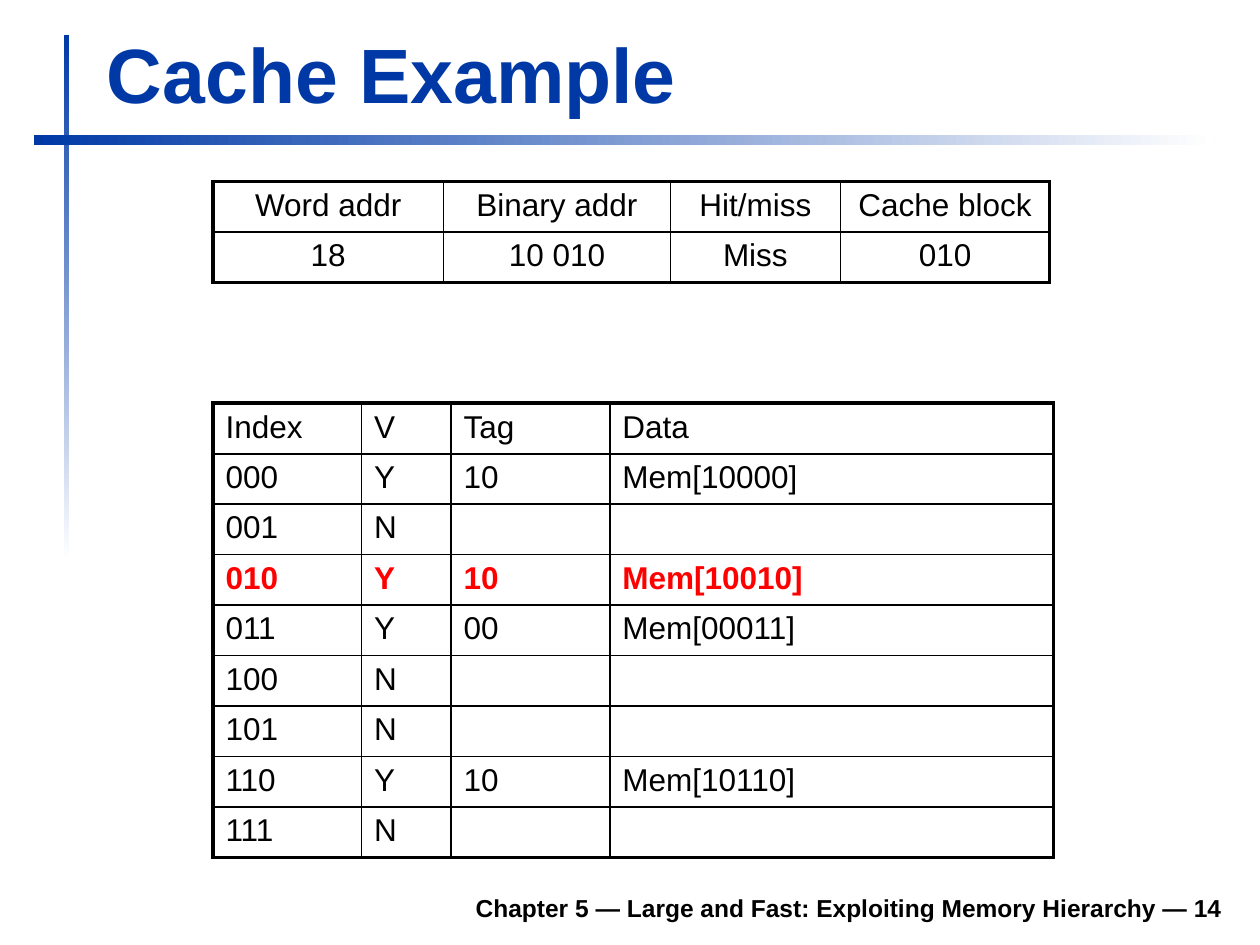
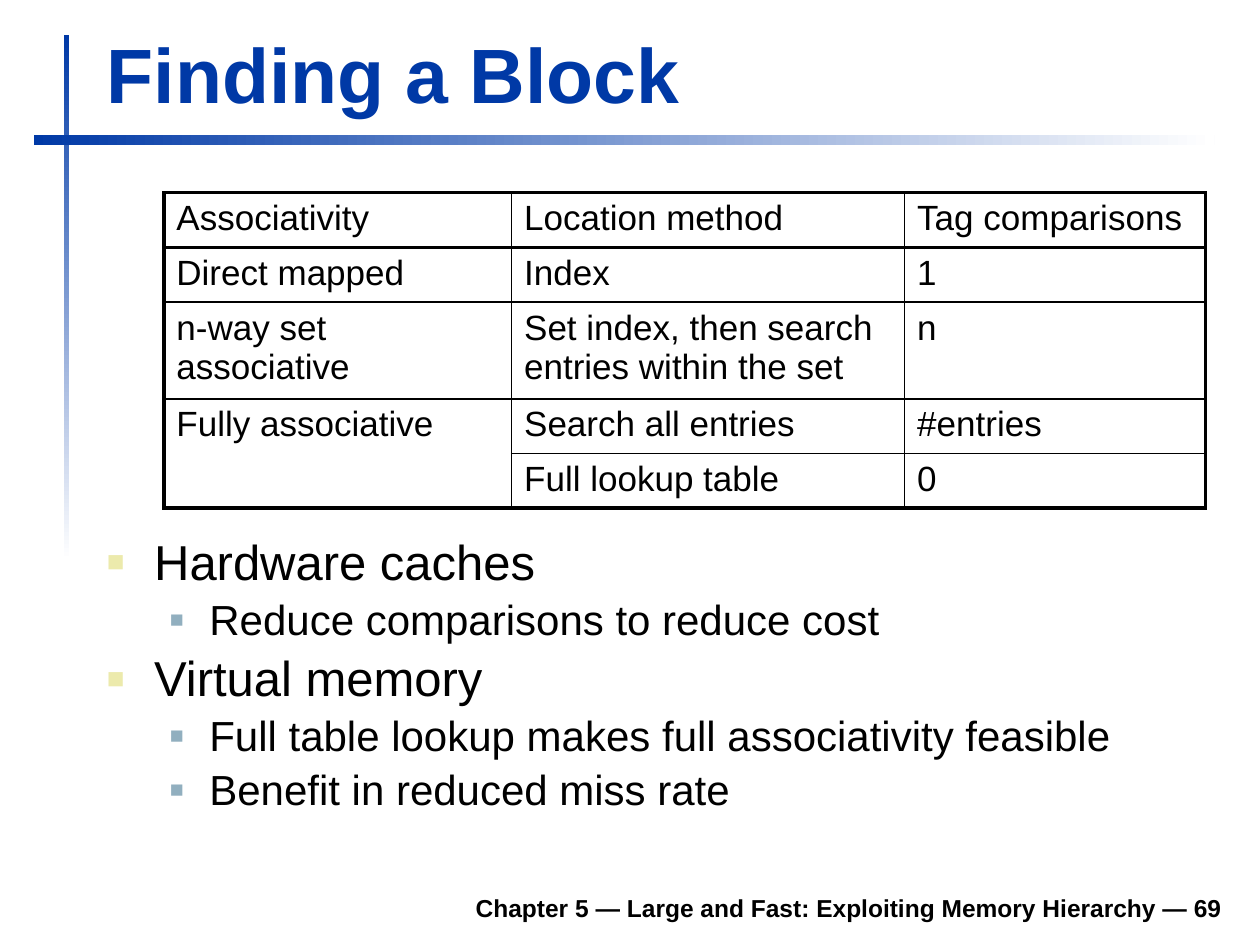
from dataclasses import dataclass
from typing import Optional

from lxml import etree
from pptx import Presentation, util as u
from pptx.dml.color import RGBColor
from pptx.enum import shapes, text
from pptx.oxml import ns

# The slide is a grid of 100 columns by 75 rows of square cells.
CELL = u.Inches(0.1)
COLUMNS, ROWS = 100, 75

FONT = "Arial"
BLUE, WHITE, BLACK, RED = "0039A6", "FFFFFF", "000000", "FF0000"
FOOTER = "Chapter 5 — Large and Fast: Exploiting Memory Hierarchy — "
OUTER, UNDER_HEADER, INNER = 2.25, 1.5, 1


@dataclass(frozen=True)
class Area:
    left: float
    top: float
    width: float
    height: float

    def lengths(self) -> list[int]:
        return [cells(n) for n in (self.left, self.top, self.width, self.height)]


@dataclass(frozen=True)
class Band:
    area: Area
    angle: int


@dataclass(frozen=True)
class Bullet:
    color: str
    percent: int
    indent: float
    hanging: float
    size: int


@dataclass(frozen=True)
class Grid:
    left: float
    top: float
    widths: list[float]
    heights: list[float]
    content: list[list[str]]
    size: int = 18
    align: text.PP_ALIGN = text.PP_ALIGN.LEFT
    red_row: Optional[int] = None


BANDS = [
    Band(Area(5.1, 2.8, 0.4, 41.7), 270),
    Band(Area(2.7, 10.7, 93.7, 0.8), 0),
]
TITLE_AREA = Area(7.5, 1.6, 90.3, 8.3)
FOOTER_AREA = Area(18.5, 69.8, 79.5, 3.9)
BODY_AREA = Area(7.5, 42.2, 90.5, 26)
BULLETS = [
    Bullet("ECEAAC", 60, 3.75, 3.75, 28),
    Bullet("91AFBF", 55, 8.13, 3.13, 24),
]

MEMORY = Grid(
    16.9, 32, [11.8, 7.1, 12.6, 35.2], [3.8] * 9,
    [
        ["Index", "V", "Tag", "Data"],
        ["000", "Y", "10", "Mem[10000]"],
        ["001", "N", "", ""],
        ["010", "Y", "10", "Mem[10010]"],
        ["011", "Y", "00", "Mem[00011]"],
        ["100", "N", "", ""],
        ["101", "N", "", ""],
        ["110", "Y", "10", "Mem[10110]"],
        ["111", "N", "", ""],
    ],
    red_row=3,
)
ACCESS = Grid(
    16.9, 14.4, [18.3, 18, 13.5, 16.6], [3.8, 4],
    [
        ["Word addr", "Binary addr", "Hit/miss", "Cache block"],
        ["18", "10 010", "Miss", "010"],
    ],
    align=text.PP_ALIGN.CENTER,
)
LOOKUP = Grid(
    13, 15.3, [27.6, 31.2, 23.9], [4.1, 4.1, 7.1, 4.1, 4.1],
    [
        ["Associativity", "Location method", "Tag comparisons"],
        ["Direct mapped", "Index", "1"],
        ["n-way set associative", "Set index, then search entries within the set", "n"],
        ["Fully associative", "Search all entries", "#entries"],
        ["", "Full lookup table", "0"],
    ],
    size=20,
)
POINTS = [
    (0, "Hardware caches"),
    (1, "Reduce comparisons to reduce cost"),
    (0, "Virtual memory"),
    (1, "Full table lookup makes full associativity feasible"),
    (1, "Benefit in reduced miss rate"),
]


def cells(count: float) -> int:
    return round(count * CELL)


def rgb(color: str) -> RGBColor:
    return RGBColor.from_string(color)


def child(parent, tag: str, **attributes):
    return etree.SubElement(parent, ns.qn(tag), attributes)


def write(para, words: str, *, size: int, color: str = BLACK, bold: bool = False,
          align: text.PP_ALIGN = text.PP_ALIGN.LEFT, spaced: bool = False,
          bullet: Optional[Bullet] = None) -> None:
    """Fill a paragraph; spaced puts a fifth of a line above it."""
    para.alignment = align
    para.font.size = u.Pt(size)
    if words:
        span = para.add_run()
        span.text = words
        span.font.name, span.font.size, span.font.bold = FONT, u.Pt(size), bold
        span.font.color.rgb = rgb(color)
    if bullet:
        para.line_spacing = 0.9
    props = para._p.get_or_add_pPr()
    if spaced:
        before = etree.Element(ns.qn("a:spcBef"))
        child(before, "a:spcPct", val="20000")
        props.insert(1 if bullet else 0, before)
    if bullet:
        props.set("marL", str(cells(bullet.indent)))
        props.set("indent", str(-cells(bullet.hanging)))
        marks = [etree.Element(ns.qn("a:buClr")),
                 etree.Element(ns.qn("a:buSzPct"), val=str(bullet.percent * 1000)),
                 etree.Element(ns.qn("a:buFont"), typeface=FONT),
                 etree.Element(ns.qn("a:buChar"), char="■")]
        child(marks[0], "a:srgbClr", val=bullet.color)
        place = list(props).index(before) + 1 if spaced else 1
        props[place:place] = marks


def add_frame(page, area: Area, anchor: text.MSO_ANCHOR):
    frame = page.shapes.add_textbox(*area.lengths()).text_frame
    frame.word_wrap = True
    frame.vertical_anchor = anchor
    return frame


def add_band(page, band: Band) -> None:
    box = page.shapes.add_shape(shapes.MSO_SHAPE.RECTANGLE, *band.area.lengths())
    box.shadow.inherit = False
    box.line.fill.background()
    box.fill.gradient()
    box.fill.gradient_angle = band.angle
    for stop, color in zip(box.fill.gradient_stops, (BLUE, WHITE)):
        stop.color.rgb = rgb(color)


def add_page(deck, title: str, number: int):
    page = deck.slides.add_slide(deck.slide_layouts[6])
    for band in BANDS:
        add_band(page, band)
    footer = add_frame(page, FOOTER_AREA, text.MSO_ANCHOR.BOTTOM)
    write(footer.paragraphs[0], f"{FOOTER}{number}", size=14, bold=True,
          align=text.PP_ALIGN.RIGHT)
    heading = add_frame(page, TITLE_AREA, text.MSO_ANCHOR.BOTTOM)
    write(heading.paragraphs[0], title, size=44, color=BLUE, bold=True)
    return page


def set_borders(cell, row: int, column: int, last_row: int, last_column: int) -> None:
    """Thick outside, medium under the header, thin elsewhere."""
    bottom_row = row + (cell.span_height - 1 if cell.is_merge_origin else 0)
    widths = {
        "L": INNER if column else OUTER,
        "R": OUTER if column == last_column else INNER,
        "T": {0: OUTER, 1: UNDER_HEADER}.get(row, INNER),
        "B": (OUTER if bottom_row == last_row
              else INNER if row else UNDER_HEADER),
    }
    if cell.is_spanned:
        del widths["T"]
    props = cell._tc.get_or_add_tcPr()
    for side, width in widths.items():
        line = child(props, f"a:ln{side}", w=str(u.Pt(width)))
        child(child(line, "a:solidFill"), "a:srgbClr", val=BLACK)


def add_grid(page, grid: Grid, joined: Optional[tuple[int, int, int]] = None) -> None:
    """Draw a table; joined is a column with the first and last row to merge."""
    area = Area(grid.left, grid.top, sum(grid.widths), sum(grid.heights))
    last_row, last_column = len(grid.heights) - 1, len(grid.widths) - 1
    table = page.shapes.add_table(last_row + 1, last_column + 1, *area.lengths()).table
    table.first_row = table.horz_banding = False
    for column, width in zip(table.columns, grid.widths):
        column.width = cells(width)
    for row, height in zip(table.rows, grid.heights):
        row.height = cells(height)
    if joined:
        column, first, last = joined
        table.cell(first, column).merge(table.cell(last, column))
    for r, words_in_row in enumerate(grid.content):
        marked = r == grid.red_row
        for c, words in enumerate(words_in_row):
            cell = table.cell(r, c)
            write(cell.text_frame.paragraphs[0], words, size=grid.size, bold=marked,
                  color=RED if marked else BLACK, align=grid.align, spaced=True)
            set_borders(cell, r, c, last_row, last_column)
            cell.fill.background()


def add_points(page, points: list[tuple[int, str]]) -> None:
    frame = add_frame(page, BODY_AREA, text.MSO_ANCHOR.TOP)
    for i, (level, words) in enumerate(points):
        para = frame.add_paragraph() if i else frame.paragraphs[0]
        para.level = level
        bullet = BULLETS[level]
        write(para, words, size=bullet.size, spaced=True, bullet=bullet)


def main() -> None:
    deck = Presentation()
    deck.slide_width, deck.slide_height = cells(COLUMNS), cells(ROWS)

    cache_page = add_page(deck, "Cache Example", 14)
    add_grid(cache_page, MEMORY)
    add_grid(cache_page, ACCESS)

    block_page = add_page(deck, "Finding a Block", 69)
    add_points(block_page, POINTS)
    add_grid(block_page, LOOKUP, joined=(0, 3, 4))

    deck.save("out.pptx")


if __name__ == "__main__":
    main()
